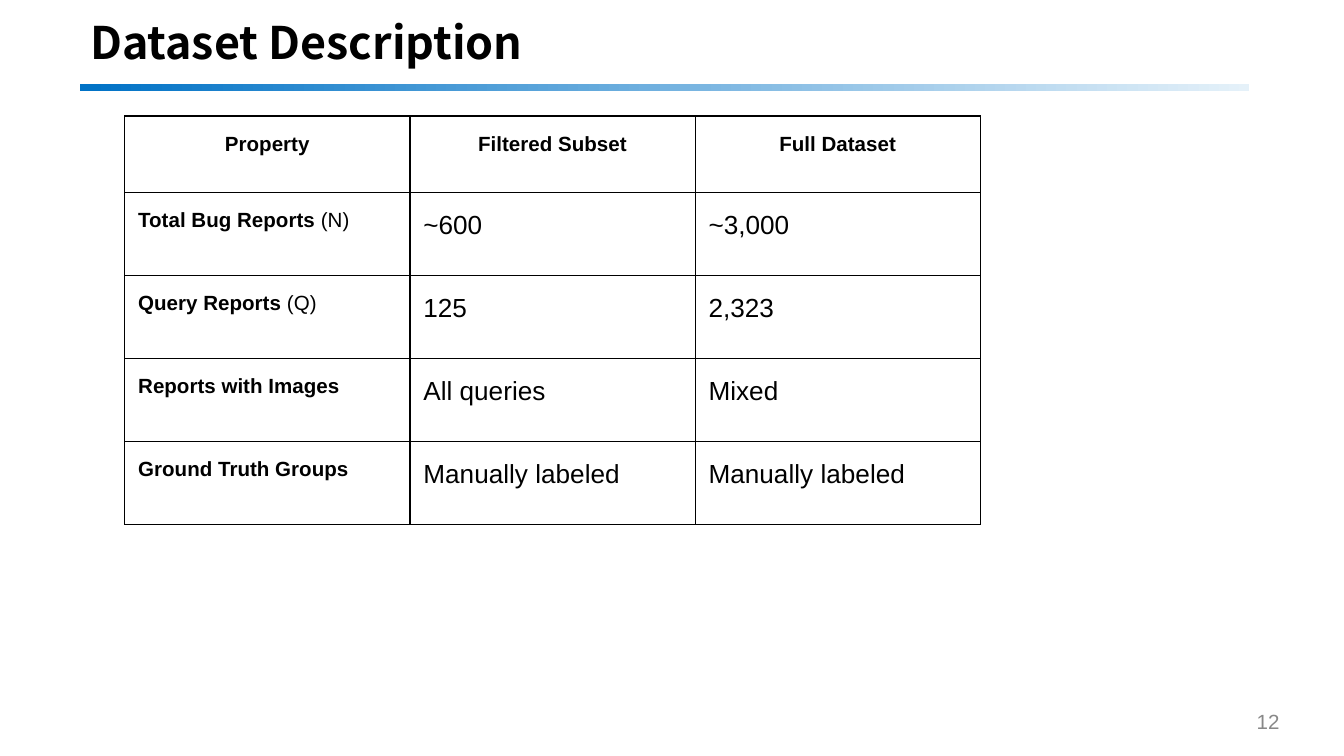
from dataclasses import dataclass

from lxml import etree
from pptx import Presentation
from pptx import util as u
from pptx.dml.color import RGBColor
from pptx.enum import shapes, text
from pptx.oxml import ns


@dataclass(frozen=True)
class Theme:
    ink: str = "000000"
    muted: str = "888888"
    rule_start: str = "0072C6"
    rule_end: str = "E5F1F9"
    title_font: str = "Noto Sans CJK SC"
    body_font: str = "Arial"
    title_size: float = 24
    label_size: float = 11
    value_size: float = 14
    border_width: float = 0.75
    cell_margin: float = 7.2


def apply_format(target, values):
    for name, value in values.items():
        setattr(target, name, value)


class SlideBuilder:
    def __init__(self, slide, theme):
        self.slide = slide
        self.theme = theme

    def place(self, shape, left, top, width, height):
        box = dict(left=left, top=top, width=width, height=height)
        apply_format(shape, {name: u.Pt(value) for name, value in box.items()})

    def format_frame(self, frame, horizontal, vertical):
        apply_format(frame, dict(
            word_wrap=True, auto_size=text.MSO_AUTO_SIZE.NONE,
            vertical_anchor=text.MSO_ANCHOR.MIDDLE,
            margin_left=u.Pt(horizontal), margin_right=u.Pt(horizontal),
            margin_top=u.Pt(vertical), margin_bottom=u.Pt(vertical)))

    def add_run(self, paragraph, content, size, bold=False, font=None, color=None):
        run = paragraph.add_run()
        run.text = content
        apply_format(run.font, dict(
            name=font or self.theme.body_font, size=u.Pt(size), bold=bold))
        run.font.color.rgb = RGBColor.from_string(color or self.theme.ink)

    def gradient_rule(self, left, top, width, height):
        rule = self.slide.shapes.add_shape(
            shapes.MSO_SHAPE.RECTANGLE, *map(u.Pt, (left, top, width, height)))
        rule.shadow.inherit = False
        rule.line.fill.background()
        rule.fill.gradient()
        rule.fill.gradient_angle = 0
        colors = (self.theme.rule_start, self.theme.rule_end)
        for stop, color, position in zip(rule.fill.gradient_stops, colors, (0, 1)):
            stop.color.rgb = RGBColor.from_string(color)
            stop.position = position

    def title(self, content, left, top, width, height):
        title = self.slide.shapes.title
        self.place(title, left, top, width, height)
        self.format_frame(title.text_frame, 5.04, 2.88)
        paragraph = title.text_frame.paragraphs[0]
        apply_format(paragraph, dict(alignment=text.PP_ALIGN.LEFT,
                                     line_spacing=0.9, space_before=u.Pt(0)))
        self.add_run(paragraph, content, self.theme.title_size, True,
                     self.theme.title_font)

    def page_number(self, content, left, top, width, height):
        box = self.slide.shapes.add_textbox(*map(u.Pt, (left, top, width, height)))
        self.format_frame(box.text_frame, 5.04, 2.88)
        paragraph = box.text_frame.paragraphs[0]
        paragraph.alignment = text.PP_ALIGN.RIGHT
        self.add_run(paragraph, content, self.theme.label_size,
                     color=self.theme.muted)

    def cell_borders(self, cell):
        properties = cell._tc.get_or_add_tcPr()
        for side in ("L", "R", "T", "B"):
            line = etree.SubElement(properties, ns.qn(f"a:ln{side}"),
                                    w=str(u.Pt(self.theme.border_width)))
            fill = etree.SubElement(line, ns.qn("a:solidFill"))
            etree.SubElement(fill, ns.qn("a:srgbClr"), val=self.theme.ink)

    def fill_cell(self, cell, content, is_header, is_label):
        """Write a cell; a label may be a (bold, regular) pair of strings."""
        margin = u.Pt(self.theme.cell_margin)
        apply_format(cell, dict(
            margin_left=margin, margin_right=margin, margin_top=margin,
            margin_bottom=margin, vertical_anchor=text.MSO_ANCHOR.TOP))
        self.cell_borders(cell)
        cell.fill.background()
        paragraph = cell.text_frame.paragraphs[0]
        alignment = text.PP_ALIGN.CENTER if is_header else text.PP_ALIGN.LEFT
        apply_format(paragraph, dict(alignment=alignment, line_spacing=1.15,
                                     space_after=u.Pt(12)))
        strong = is_header or is_label
        size = self.theme.label_size if strong else self.theme.value_size
        parts = (content,) if isinstance(content, str) else content
        for index, part in enumerate(parts):
            self.add_run(paragraph, part, size, bold=strong and index == 0)

    def table(self, rows, left, top, column_width, header_height, row_height):
        heights = [header_height] + [row_height] * (len(rows) - 1)
        columns = len(rows[0])
        table = self.slide.shapes.add_table(
            len(rows), columns, u.Pt(left), u.Pt(top),
            u.Pt(column_width * columns), u.Pt(sum(heights))).table
        apply_format(table, dict(first_row=False, horz_banding=False))
        for column in table.columns:
            column.width = u.Pt(column_width)
        for row_index, (row, height) in enumerate(zip(rows, heights)):
            table.rows[row_index].height = u.Pt(height)
            for column_index, content in enumerate(row):
                self.fill_cell(table.cell(row_index, column_index), content,
                               row_index == 0, column_index == 0)


DATASET_ROWS = (
    ("Property", "Filtered Subset", "Full Dataset"),
    (("Total Bug Reports", " (N)"), "~600", "~3,000"),
    (("Query Reports", " (Q)"), "125", "2,323"),
    ("Reports with Images", "All queries", "Mixed"),
    ("Ground Truth Groups", "Manually labeled", "Manually labeled"),
)


def main():
    presentation = Presentation()
    presentation.slide_width = u.Pt(720)
    presentation.slide_height = u.Pt(405)
    slide = presentation.slides.add_slide(presentation.slide_layouts[5])
    builder = SlideBuilder(slide, Theme())
    builder.gradient_rule(43, 45.2, 626.4, 3.6)
    builder.title("Dataset Description", 43.2, 10, 620.6, 28)
    builder.page_number("12", 528.5, 375.5, 162, 21.6)
    builder.table(DATASET_ROWS, left=66.8, top=62.1, column_width=152.8,
                  header_height=41, row_height=44.5)
    presentation.save("out.pptx")


if __name__ == "__main__":
    main()
